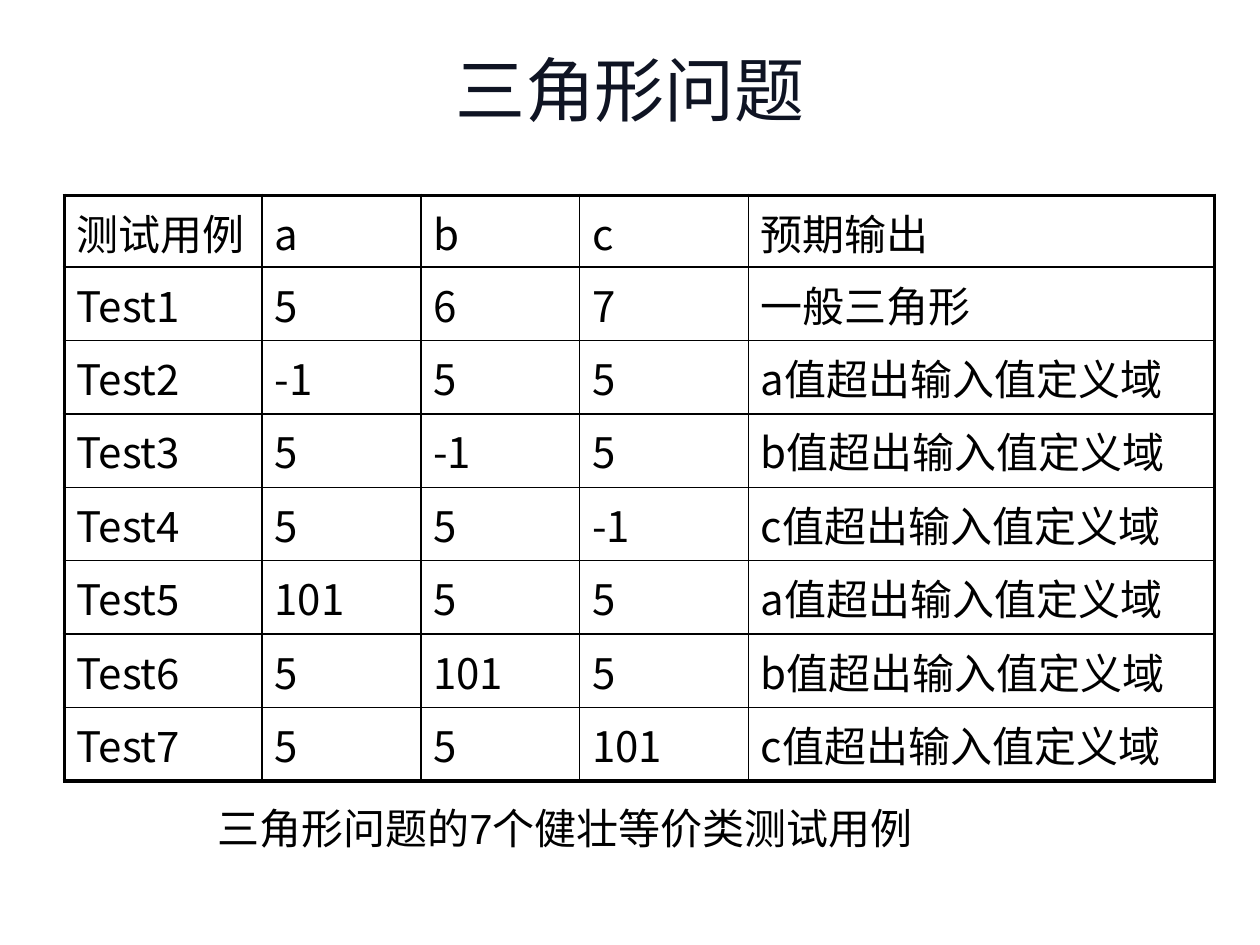
from lxml import etree
from pptx import Presentation
from pptx.dml.color import RGBColor
from pptx.enum.text import MSO_ANCHOR, PP_ALIGN
from pptx.oxml.ns import qn
from pptx.util import Inches, Pt

MIDDLE = MSO_ANCHOR.MIDDLE
CENTER = PP_ALIGN.CENTER
COLORS = {"title": "0F1423", "text": "000000", "border": "000000"}
CJK = "Noto Sans CJK KR"
THIN, THICK = 1, 2.25
WIDTHS = [1.57, 1.26, 1.26, 1.34, 3.7]
HEAD = 0.57
HEIGHT = 4.65
OUTSIDE = "{}值超出输入值定义域"
ROWS = [["测试用例", "a", "b", "c", "预期输出"],
        ["Test1", "5", "6", "7", "一般三角形"]]
for value in ("-1", "101"):
    for pos, name in enumerate("abc"):
        sides = ["5"] * 3
        sides[pos] = value
        ROWS.append([f"Test{len(ROWS)}", *sides, OUTSIDE.format(name)])


def write(para, text, size, font, color):
    run = para.add_run()
    run.text = text
    look = {"size": Pt(size), "name": font, "bold": False}
    for key, val in look.items():
        setattr(run.font, key, val)
    run.font.color.rgb = RGBColor.from_string(COLORS[color])
    east = etree.SubElement(run.font._element, qn("a:ea"))
    east.set("typeface", CJK)


def add_label(slide, box, text, size, font, color, inset=0.1):
    shape = slide.shapes.add_textbox(*map(Inches, box))
    frame = shape.text_frame
    look = {"word_wrap": True, "vertical_anchor": MIDDLE,
            "margin_left": Inches(inset), "margin_right": Inches(inset)}
    for key, val in look.items():
        setattr(frame, key, val)
    para = frame.paragraphs[0]
    para.alignment = CENTER
    write(para, text, size, font, color)


def set_edges(cell, widths):
    """Draw the cell's borders; widths maps L, R, T, B to points."""
    props = cell._tc.get_or_add_tcPr()
    for spot, (side, width) in enumerate(widths.items()):
        line = etree.Element(qn(f"a:ln{side}"), w=str(Pt(width)))
        fill = etree.SubElement(line, qn("a:solidFill"))
        etree.SubElement(fill, qn("a:srgbClr"), val=COLORS["border"])
        props.insert(spot, line)


def add_cases(slide):
    last_row, last_col = len(ROWS) - 1, len(WIDTHS) - 1
    box = (0.51, 1.55, sum(WIDTHS), HEIGHT)
    frame = slide.shapes.add_table(len(ROWS), len(WIDTHS), *map(Inches, box))
    table = frame.table
    table.first_row = table.horz_banding = False
    for col, width in zip(table.columns, WIDTHS):
        col.width = Inches(width)
    for r, texts in enumerate(ROWS):
        table.rows[r].height = Inches((HEIGHT - HEAD) / last_row if r else HEAD)
        for c, text in enumerate(texts):
            cell = table.cell(r, c)
            cell.vertical_anchor = MIDDLE
            cell.fill.background()
            outer = {"L": c == 0, "R": c == last_col,
                     "T": r == 0, "B": r == last_row}
            set_edges(cell, {side: THICK if edge else THIN
                             for side, edge in outer.items()})
            write(cell.text_frame.paragraphs[0], text, 24, CJK, "text")


def main():
    prs = Presentation()
    prs.slide_width, prs.slide_height = Inches(10), Inches(7.5)
    slide = prs.slides.add_slide(prs.slide_layouts[6])
    add_label(slide, (0.25, 0.33, 9.5, 0.75), "三角形问题",
              40, CJK, "title", inset=0.04)
    add_cases(slide)
    add_label(slide, (1.14, 6.32, 6.69, 0.5),
              "三角形问题的7个健壮等价类测试用例", 24, "Arial", "text")
    prs.save("out.pptx")


if __name__ == "__main__":
    main()
